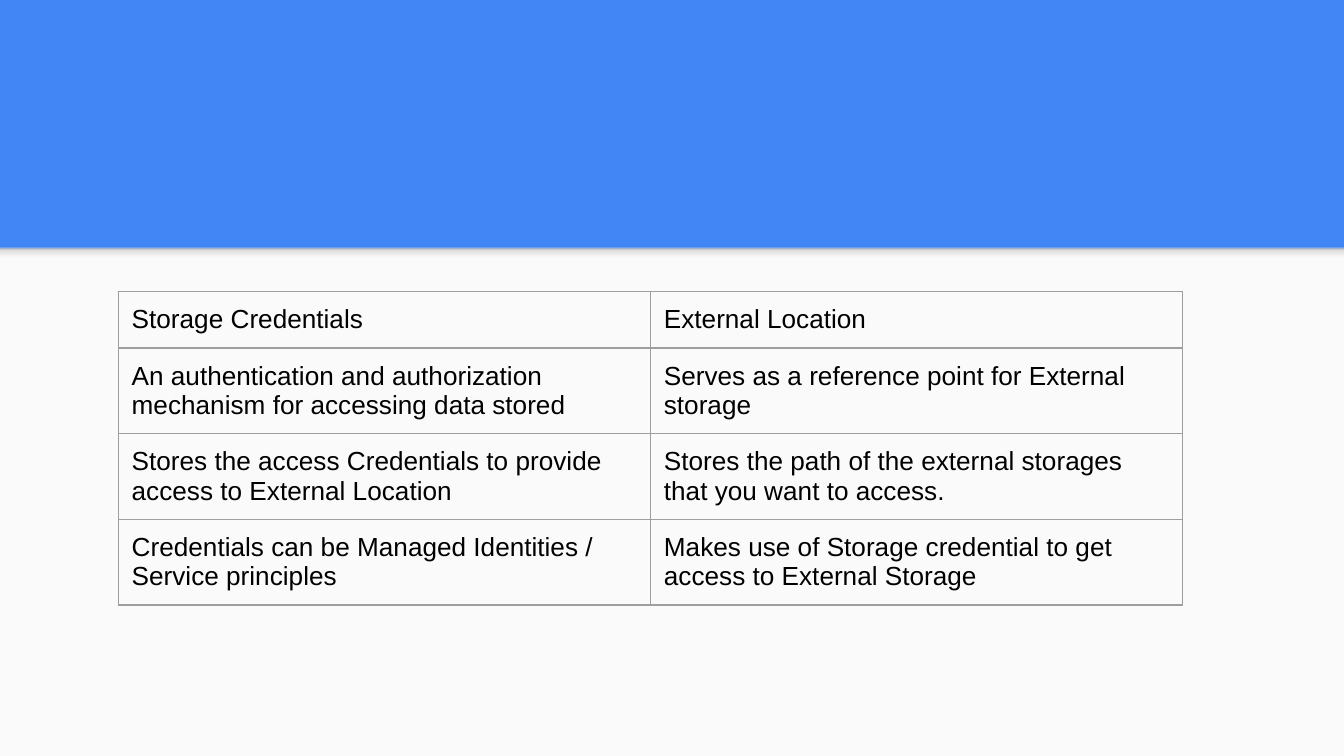
from lxml.etree import SubElement
from pptx import Presentation
from pptx.dml.color import RGBColor
from pptx.enum.shapes import MSO_SHAPE as Shape
from pptx.oxml.ns import qn
from pptx.util import Inches, Pt


def color(hex_code):
    return RGBColor.from_string(hex_code)


def add_border(cell, side):
    line = SubElement(cell._tc.get_or_add_tcPr(), qn(f"a:{side}"), w=str(Pt(0.75)))
    fill = SubElement(line, qn("a:solidFill"))
    SubElement(fill, qn("a:srgbClr"), val="9E9E9E")


# Widescreen 16:9 page
deck = Presentation()
deck.slide_width = Inches(10)
deck.slide_height = Inches(10) * 9 // 16
page = deck.slides.add_slide(deck.slide_layouts[6])

# Blue background
page.background.fill.solid()
page.background.fill.fore_color.rgb = color("4285F4")

# Light body panel, down to the page's lower edge
band_height = Inches(1.84)
panel = page.shapes.add_shape(
    Shape.RECTANGLE, 0, band_height, deck.slide_width, deck.slide_height - band_height)
panel.shadow.inherit = False
panel.fill.solid()
panel.fill.fore_color.rgb = color("FAFAFA")
panel.line.fill.background()

# Soft shade under the blue band, darkest at the top
shade = page.shapes.add_shape(
    Shape.RECTANGLE, 0, band_height, deck.slide_width, Inches(0.12))
shade.shadow.inherit = False
shade.line.fill.background()
shade.fill.gradient()
shade.fill.gradient_angle = 90
stops = shade._element.spPr.find(qn("a:gradFill")).find(qn("a:gsLst"))
for stop in list(stops):
    stops.remove(stop)
for percent, tone in [(0, "F9F9F9"), (36, "F9F9F9"), (80, "DEDEDE"), (100, "999999")]:
    stop = SubElement(stops, qn("a:gs"), pos=str(percent * 1000))
    SubElement(stop, qn("a:srgbClr"), val=tone)

# Comparison table
comparison = [
    ("Storage Credentials", "External Location"),
    ("An authentication and authorization mechanism for accessing data stored",
     "Serves as a reference point for External storage"),
    ("Stores the access Credentials to provide access to External Location",
     "Stores the path of the external storages that you want to access."),
    ("Credentials can be Managed Identities / Service principles",
     "Makes use of Storage credential to get access to External Storage"),
]
table = page.shapes.add_table(
    len(comparison), 2, Inches(0.88), Inches(2.17), Inches(7.92), Inches(1.68)).table
table.first_row = False
table.horz_banding = False
for row, texts in zip(table.rows, comparison):
    row.height = Inches(0.42)
    for cell, text in zip(row.cells, texts):
        cell.margin_left = cell.margin_right = Inches(0.1)
        cell.margin_top = cell.margin_bottom = Inches(0.1)
        for side in ("lnL", "lnR", "lnT", "lnB"):
            add_border(cell, side)
        cell.fill.background()
        cell.text_frame.text = text
        font = cell.text_frame.paragraphs[0].runs[0].font
        font.name = "Arial"
        font.size = Pt(14)
        font.color.rgb = color("000000")

deck.save("out.pptx")
